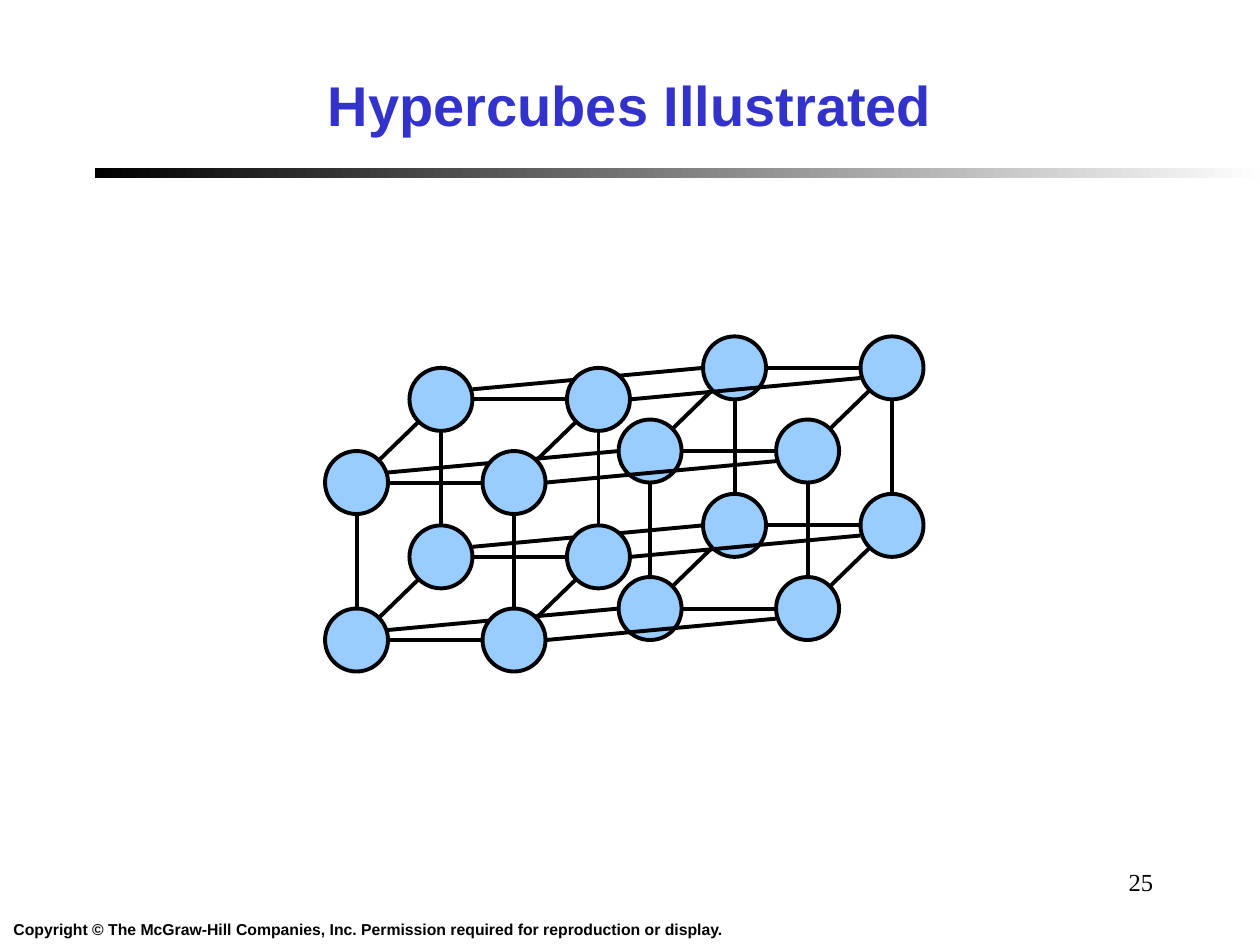
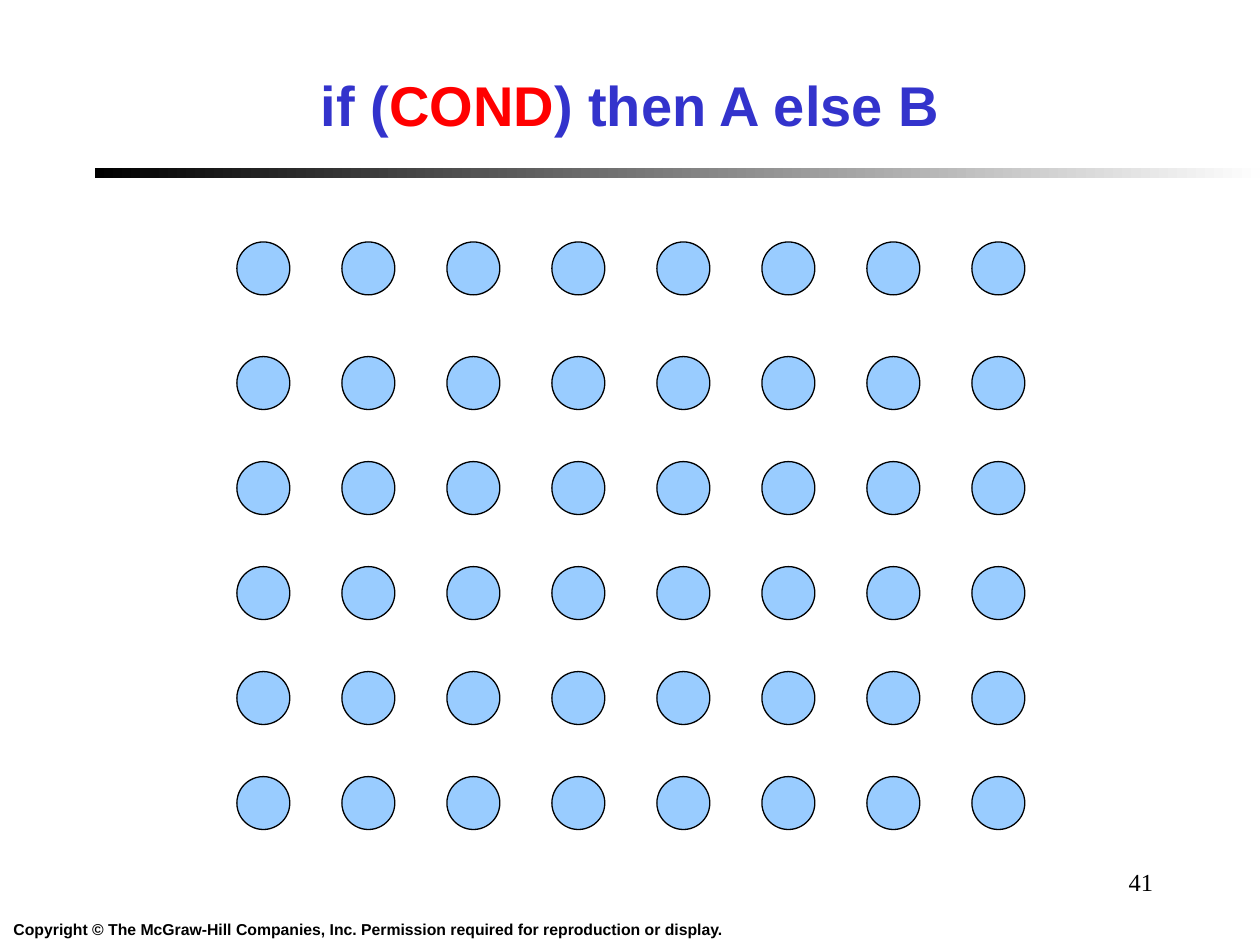
from itertools import product

from pptx import Presentation
from pptx.dml.color import RGBColor
from pptx.enum.shapes import MSO_CONNECTOR, MSO_SHAPE
from pptx.enum.text import MSO_ANCHOR as ANCHOR, PP_ALIGN as ALIGN
from pptx.oxml.ns import qn
from pptx.util import Inches, Pt

BLACK = RGBColor(0x00, 0x00, 0x00)
WHITE = RGBColor(0xFE, 0xFE, 0xFE)
BLUE = RGBColor(0x33, 0x33, 0xCC)
RED = RGBColor(0xFF, 0x00, 0x00)
NODE_FILL = RGBColor(0x99, 0xCC, 0xFF)

TITLE_FONT = {"name": "Arial", "size": Pt(32), "bold": True}
FOOTER_FONT = {"name": "Arial", "size": Pt(9), "bold": True}
NUMBER_FONT = {"name": "Times New Roman", "size": Pt(14), "bold": False}
COPYRIGHT = ("Copyright © The McGraw-Hill Companies, Inc. "
             "Permission required for reproduction or display.")

NODE = 0.5
SPACING = 1.25
LEFT_BACK, LEFT_FRONT = (3.25, 2.92), (2.58, 3.58)
LINK_DX, LINK_DY = 2.33, -0.25
CUBE_LINE = 2.25

GRID_NODE = 0.42
GRID_PITCH = 10 / 12
GRID_LEFT = 1.88
GRID_TOPS = [1.92] + [2.83 + i * GRID_PITCH for i in range(5)]
GRID_COLUMNS = 8


def add_text(slide, box, runs, font, align, wrap=True, anchor=ANCHOR.TOP):
    """Add a one-paragraph text box from (text, colour) runs."""
    tf = slide.shapes.add_textbox(*map(Inches, box)).text_frame
    tf.word_wrap = wrap
    tf.vertical_anchor = anchor
    p = tf.paragraphs[0]
    p.alignment = align
    for text, color in runs:
        r = p.add_run()
        r.text = text
        for name, value in font.items():
            setattr(r.font, name, value)
        r.font.color.rgb = color


def add_band(slide):
    """Add the band under the title, fading from black to white."""
    box = map(Inches, (0.75, 1.33, 9.25, 0.08))
    sp = slide.shapes.add_shape(MSO_SHAPE.RECTANGLE, *box)
    sp.shadow.inherit = False
    sp.line.fill.background()
    sp.fill.gradient()
    sp.fill.gradient_angle = 0
    for stop, color in zip(sp.fill.gradient_stops, (BLACK, WHITE)):
        stop.color.rgb = color


def add_base_slide(prs, title, number):
    """Add a blank slide with band, footer, title and page number."""
    slide = prs.slides.add_slide(prs.slide_layouts[6])
    add_band(slide)
    add_text(slide, (0, 7.25, 5.84, 0.25), [(COPYRIGHT, BLACK)],
             FOOTER_FONT, ALIGN.CENTER, wrap=False)
    add_text(slide, (0.75, 0.33, 8.5, 1), title,
             TITLE_FONT, ALIGN.CENTER, anchor=ANCHOR.MIDDLE)
    add_text(slide, (7.17, 6.83, 2.08, 0.5), [(str(number), BLACK)],
             NUMBER_FONT, ALIGN.RIGHT)
    return slide


def add_node(shapes, x, y, size, width):
    """Add a round processor node."""
    box = map(Inches, (x, y, size, size))
    sp = shapes.add_shape(MSO_SHAPE.OVAL, *box)
    sp.shadow.inherit = False
    sp.fill.solid()
    sp.fill.fore_color.rgb = NODE_FILL
    sp.line.color.rgb = BLACK
    sp.line.width = Pt(width)


def add_edge(shapes, x1, y1, x2, y2):
    """Add a straight edge of the hypercube."""
    ends = map(Inches, (x1, y1, x2, y2))
    cn = shapes.add_connector(MSO_CONNECTOR.STRAIGHT, *ends)
    cn.line.color.rgb = BLACK
    cn.line.width = Pt(CUBE_LINE)
    pr = cn._element.spPr
    pr.append(pr.makeelement(qn("a:effectLst"), {}))


def corners(origin):
    """Return the upper left points of the four nodes of a face."""
    x, y = origin
    return [(x + c * SPACING, y + r * SPACING)
            for r, c in product(range(2), repeat=2)]


def add_face(shapes, origin):
    """Add four nodes joined into a square."""
    x, y = origin
    half, near, far = NODE / 2, NODE, SPACING
    for corner in corners(origin):
        add_node(shapes, *corner, NODE, CUBE_LINE)
    for step in (0, SPACING):
        add_edge(shapes, x + near, y + step + half, x + far, y + step + half)
        add_edge(shapes, x + step + half, y + near, x + step + half, y + far)


def add_cube(shapes, back, front):
    """Add two faces and the slanted edges between them."""
    add_face(shapes, back)
    add_face(shapes, front)
    for (fx, fy), (bx, by) in zip(corners(front), corners(back)):
        add_edge(shapes, fx + 0.42, fy + 0.08, bx + 0.08, by + 0.42)


def add_links(shapes, column, start, end):
    """Link one column of the left cube to its twin in the right cube."""
    for face in (LEFT_BACK, LEFT_FRONT):
        for x, y in corners(face)[column::2]:
            add_edge(shapes, x + NODE, y + start,
                     x + LINK_DX, y + LINK_DY + end)


def add_hypercube(slide):
    """Add the four-dimensional hypercube."""
    shapes = slide.shapes.add_group_shape().shapes
    left = (LEFT_BACK, LEFT_FRONT)
    right = [(x + LINK_DX, y + LINK_DY) for x, y in left]
    add_links(shapes, 0, 0.17, 0.25)
    add_cube(shapes, *left)
    add_cube(shapes, *right)
    add_links(shapes, 1, 0.25, 0.33)


def add_processor_grid(slide):
    """Add the rows of separate processor nodes."""
    shapes = slide.shapes.add_group_shape().shapes
    for y, column in product(GRID_TOPS, range(GRID_COLUMNS)):
        add_node(shapes, GRID_LEFT + column * GRID_PITCH, y, GRID_NODE, 0.75)


def main():
    """Build and save the two slides."""
    prs = Presentation()
    prs.slide_width, prs.slide_height = Inches(10), Inches(7.5)
    add_hypercube(add_base_slide(prs, [("Hypercubes Illustrated", BLUE)], 25))
    condition = [("if (", BLUE), ("COND", RED), (") then A else B", BLUE)]
    add_processor_grid(add_base_slide(prs, condition, 41))
    prs.save("out.pptx")


if __name__ == "__main__":
    main()
